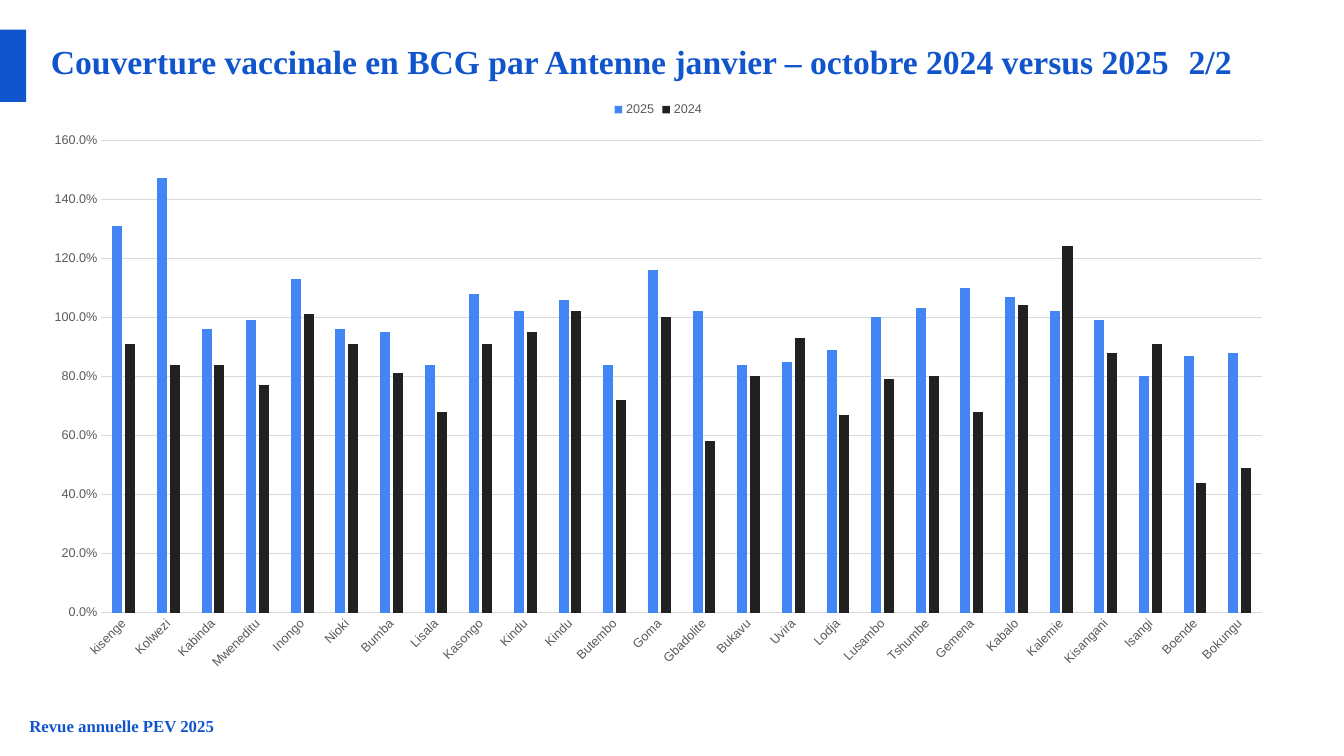
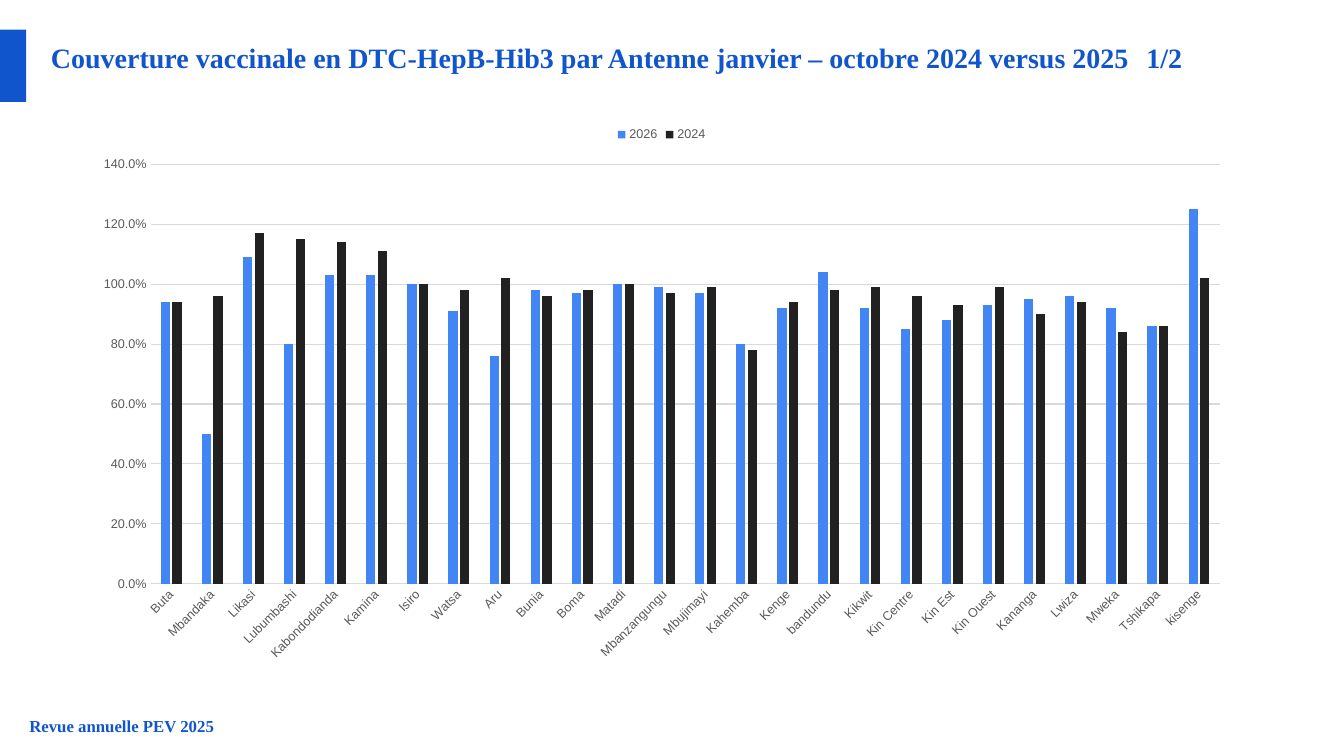
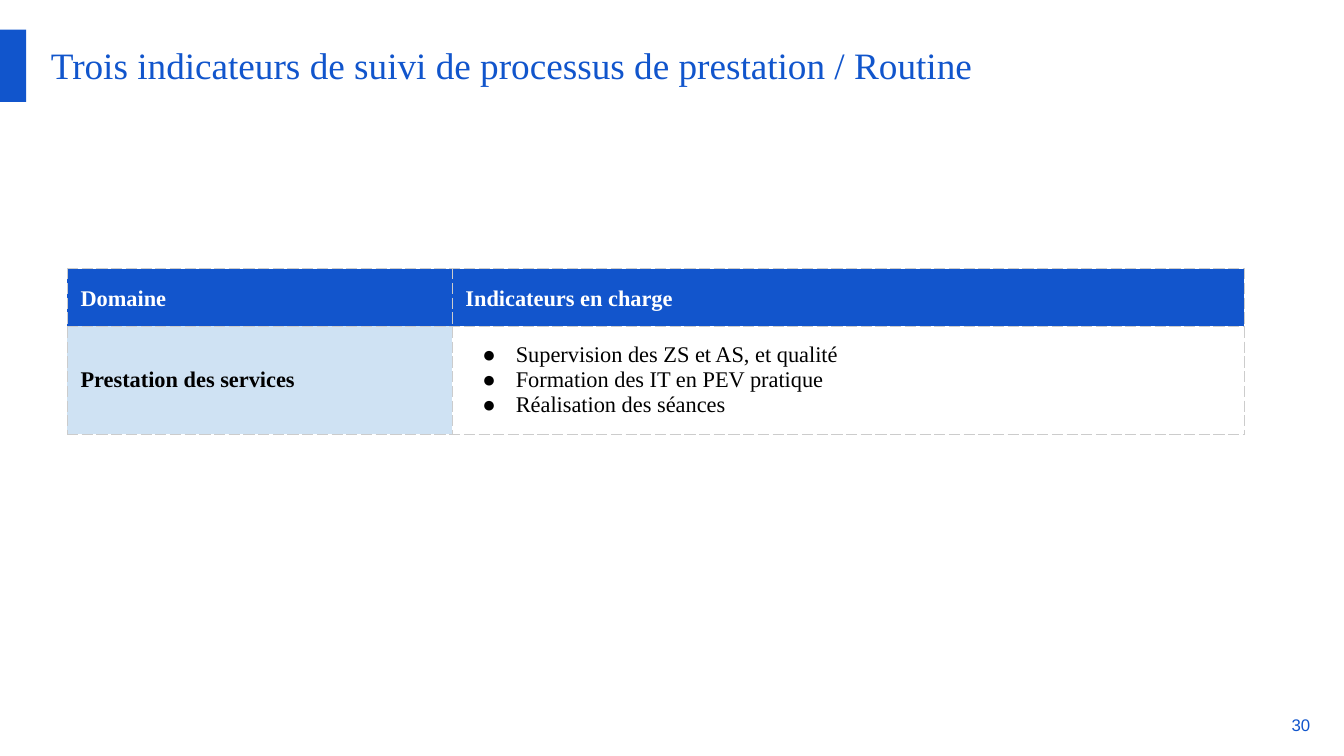
from lxml import etree
from pptx import Presentation
from pptx import util as u
from pptx.chart.data import CategoryChartData
from pptx.dml.color import RGBColor
from pptx.enum import chart as ch, shapes, text
from pptx.oxml.ns import qn

BLUE = RGBColor(0x11, 0x55, 0xCC)
HEADER_BLUE = RGBColor(0x12, 0x55, 0xCC)
BAR_BLUE = RGBColor(0x42, 0x85, 0xF4)
BAR_BLACK = RGBColor(0x21, 0x21, 0x21)
PALE_BLUE = RGBColor(0xCF, 0xE2, 0xF3)
GRID_GREY = RGBColor(0xD9, 0xD9, 0xD9)
LABEL_GREY = RGBColor(0x59, 0x59, 0x59)
WHITE = RGBColor(0xFF, 0xFF, 0xFF)
BLACK = RGBColor(0, 0, 0)
BORDER_GREY = "CCCCCC"
SERIF, SANS = "Times New Roman", "Arial"

FOOTER = "Revue annuelle PEV 2025"
COVERAGE = [
    dict(
        title="Couverture vaccinale en BCG par Antenne janvier – octobre 2024 versus 2025",
        part="2/2", size=24, box=(0.74, 2.29, 31.7, 14.96), top=1.6,
        antennas=[" kisenge", " Kolwezi", " Kabinda", " Mweneditu", " Inongo", " Nioki",
                  " Bumba", " Lisala", " Kasongo", " Kindu", " Kindu", " Butembo", " Goma",
                  " Gbadolite", "Bukavu", "Uvira", " Lodja", " Lusambo", " Tshumbe", " Gemena",
                  " Kabalo", " Kalemie", " Kisangani", " Isangi", " Boende", " Bokungu"],
        years={
            "2025": [1.31, 1.47, 0.96, 0.99, 1.13, 0.96, 0.95, 0.84, 1.08, 1.02, 1.06, 0.84, 1.16,
                     1.02, 0.84, 0.85, 0.89, 1, 1.03, 1.1, 1.07, 1.02, 0.99, 0.8, 0.87, 0.88],
            "2024": [0.91, 0.84, 0.84, 0.77, 1.01, 0.91, 0.81, 0.68, 0.91, 0.95, 1.02, 0.72, 1,
                     0.58, 0.8, 0.93, 0.67, 0.79, 0.8, 0.68, 1.04, 1.24, 0.88, 0.91, 0.44, 0.49],
        },
    ),
    dict(
        title="Couverture vaccinale en DTC-HepB-Hib3 par Antenne janvier – octobre 2024 versus 2025",
        part="1/2", size=20, box=(2.03, 2.92, 29.29, 14.07), top=1.4,
        antennas=[" Buta", " Mbandaka", " Likasi", " Lubumbashi", " Kabondodianda", " Kamina",
                  " Isiro", " Watsa", " Aru", " Bunia", " Boma", " Matadi", " Mbanzangungu",
                  " Mbujimayi", " Kahemba", " Kenge", " bandundu", " Kikwit", " Kin Centre",
                  " Kin Est", " Kin Ouest", " Kananga", " Lwiza", " Mweka", " Tshikapa",
                  " kisenge"],
        years={
            "2026": [0.94, 0.5, 1.09, 0.8, 1.03, 1.03, 1, 0.91, 0.76, 0.98, 0.97, 1, 0.99,
                     0.97, 0.8, 0.92, 1.04, 0.92, 0.85, 0.88, 0.93, 0.95, 0.96, 0.92, 0.86, 1.25],
            "2024": [0.94, 0.96, 1.17, 1.15, 1.14, 1.11, 1, 0.98, 1.02, 0.96, 0.98, 1, 0.97,
                     0.99, 0.78, 0.94, 0.98, 0.99, 0.96, 0.93, 0.99, 0.9, 0.94, 0.84, 0.86, 1.02],
        },
    ),
]
PROCESS_TITLE = "Trois indicateurs de suivi de processus de prestation / Routine"
PAGE_NUMBER = "30"
HEADINGS = ["Domaine", "Indicateurs en charge"]
DOMAIN = "Prestation des services"
INDICATORS = ["Supervision des ZS et AS, et qualité", "Formation des IT en PEV pratique",
              "Réalisation des séances"]
COLUMN_WIDTHS = [9.7, 19.96]
ROW_HEIGHTS = [1.45, 2.72]


def place(left, top, width, height):
    return u.Cm(left), u.Cm(top), u.Cm(width), u.Cm(height)


def write(para, words, size=16, color=BLUE, font=SERIF, bold=False, tracking=None):
    span = para.add_run()
    span.text = words
    span.font.size = u.Pt(size)
    span.font.name = font
    span.font.bold = bold
    span.font.color.rgb = color
    if tracking:
        span.font._element.set("spc", str(tracking * 100))


def set_frame(frame, right=0, anchor=text.MSO_ANCHOR.TOP):
    frame.word_wrap = True
    frame.auto_size = text.MSO_AUTO_SIZE.NONE
    frame.vertical_anchor = anchor
    frame.margin_left = frame.margin_top = frame.margin_bottom = 0
    frame.margin_right = u.Cm(right)
    return frame.paragraphs[0]


def start_page(deck):
    page = deck.slides.add_slide(deck.slide_layouts[5])
    title = page.shapes.title
    title.left, title.top, title.width, title.height = place(1.28, 0.89, 31.32, 2.03)
    para = set_frame(title.text_frame)
    para.alignment = text.PP_ALIGN.LEFT
    band = page.shapes.add_shape(shapes.MSO_SHAPE.RECTANGLE, *place(0, 0.75, 0.66, 1.82))
    band.shadow.inherit = False
    band.fill.solid()
    band.fill.fore_color.rgb = BLUE
    band.line.fill.background()
    return page, para


def add_coverage_chart(page, slide):
    data = CategoryChartData(number_format="0.0%")
    data.categories = slide["antennas"]
    for year, values in slide["years"].items():
        data.add_series(year, values)
    chart = page.shapes.add_chart(
        ch.XL_CHART_TYPE.COLUMN_CLUSTERED, *place(*slide["box"]), data).chart
    chart.has_title = False
    chart.font.name = SANS
    chart.font.size = u.Pt(10)
    chart.has_legend = True
    chart.legend.position = ch.XL_LEGEND_POSITION.TOP
    chart.legend.include_in_layout = False
    plot = chart.plots[0]
    plot.vary_by_categories = False
    plot.gap_width, plot.overlap = 219, -27
    for series, color in zip(plot.series, (BAR_BLUE, BAR_BLACK)):
        series.format.fill.solid()
        series.format.fill.fore_color.rgb = color
    names, scale = chart.category_axis, chart.value_axis
    for axis in (names, scale):
        axis.major_tick_mark = axis.minor_tick_mark = ch.XL_TICK_MARK.NONE
    for font in (names.tick_labels.font, scale.tick_labels.font, chart.legend.font):
        font.name = SANS
        font.size = u.Pt(9)
        font.color.rgb = LABEL_GREY
    names._element.find(qn("c:txPr")).find(qn("a:bodyPr")).set("rot", "-2700000")
    scale.minimum_scale, scale.maximum_scale, scale.major_unit = 0, slide["top"], 0.2
    scale.tick_labels.number_format = "0.0%"
    scale.tick_labels.number_format_is_linked = False
    scale.format.line.fill.background()
    for line in (names.format.line, scale.major_gridlines.format.line):
        line.color.rgb = GRID_GREY
        line.width = u.Pt(0.75)


def add_coverage_page(deck, slide):
    page, para = start_page(deck)
    size = slide["size"]
    write(para, slide["title"], size=size, bold=True)
    write(para, " ", size=size + 4, bold=True, tracking=(size + 4) // 4)
    write(para, slide["part"], size=size, bold=True)
    footer = page.shapes.add_textbox(*place(0.74, 18.03, 31.7, 0.51))
    write(set_frame(footer.text_frame, right=0.34), FOOTER, size=12, bold=True)
    add_coverage_chart(page, slide)


def format_cell(cell, fill):
    cell.vertical_anchor = text.MSO_ANCHOR.MIDDLE
    cell.margin_left = cell.margin_right = cell.margin_top = cell.margin_bottom = u.Cm(0.33)
    if fill is None:
        cell.fill.background()
    else:
        cell.fill.solid()
        cell.fill.fore_color.rgb = fill
    properties = cell._tc.get_or_add_tcPr()
    for index, side in enumerate(("lnL", "lnR", "lnT", "lnB")):
        border = etree.Element(qn("a:" + side), w=str(u.Pt(0.75)))
        solid = etree.SubElement(border, qn("a:solidFill"))
        etree.SubElement(solid, qn("a:srgbClr"), val=BORDER_GREY)
        etree.SubElement(border, qn("a:prstDash"), val="dash")
        properties.insert(index, border)
    return cell.text_frame


def add_bullet(para):
    properties = para._p.get_or_add_pPr()
    properties.set("marL", str(u.Cm(1.27)))
    properties.set("indent", str(u.Cm(-0.84)))
    etree.SubElement(properties, qn("a:buFont"), typeface=SERIF)
    etree.SubElement(properties, qn("a:buChar"), char="●")


def add_process_page(deck):
    page, para = start_page(deck)
    page.shapes.title.height = u.Cm(2.44)
    para.line_spacing = 1.15
    write(para, PROCESS_TITLE, size=26.65)
    number = page.shapes.add_textbox(*place(32.38, 18.03, 0.64, 0.46))
    para = set_frame(number.text_frame, anchor=text.MSO_ANCHOR.MIDDLE)
    para.alignment = text.PP_ALIGN.RIGHT
    write(para, PAGE_NUMBER, size=12, font=SANS)

    table = page.shapes.add_table(
        2, 2, *place(1.7, 6.77, sum(COLUMN_WIDTHS), sum(ROW_HEIGHTS))).table
    table.horz_banding = False
    for column, width in zip(table.columns, COLUMN_WIDTHS):
        column.width = u.Cm(width)
    for row, height in zip(table.rows, ROW_HEIGHTS):
        row.height = u.Cm(height)
    for index, heading in enumerate(HEADINGS):
        para = format_cell(table.cell(0, index), HEADER_BLUE).paragraphs[0]
        para.line_spacing = 1.15
        write(para, heading, color=WHITE, bold=True)
    write(format_cell(table.cell(1, 0), PALE_BLUE).paragraphs[0], DOMAIN, color=BLACK, bold=True)
    frame = format_cell(table.cell(1, 1), None)
    for index, indicator in enumerate(INDICATORS):
        para = frame.add_paragraph() if index else frame.paragraphs[0]
        add_bullet(para)
        write(para, indicator, color=BLACK)


def main():
    deck = Presentation()
    deck.slide_width, deck.slide_height = u.Cm(33.87), u.Cm(19.05)
    for slide in COVERAGE:
        add_coverage_page(deck, slide)
    add_process_page(deck)
    deck.save("out.pptx")


if __name__ == "__main__":
    main()
